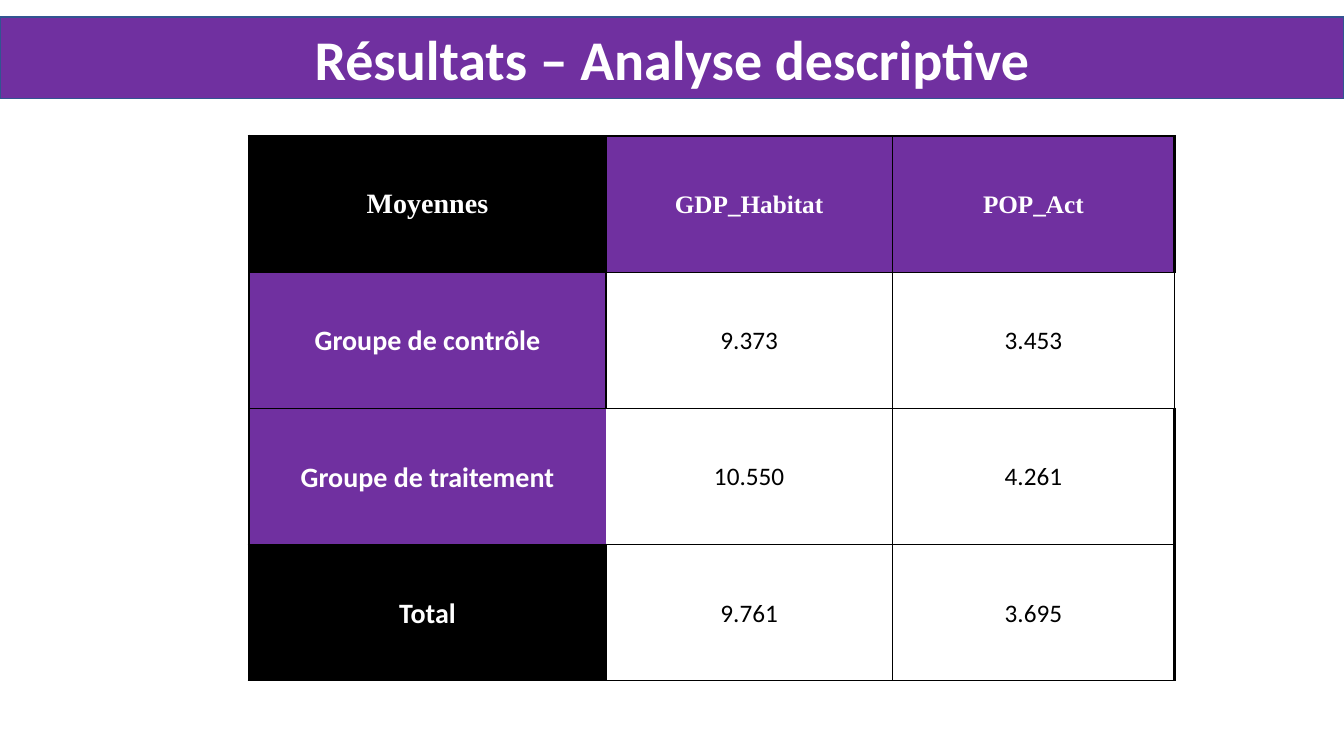
import lxml.etree
import pptx
import pptx.dml.color
import pptx.enum.text
import pptx.oxml.ns
import pptx.util
from pptx.util import Inches

COLORS = {"purple": "7030A0", "black": "000000", "white": "FFFFFF", "outline": "325491"}
MEANS = [
    ["Moyennes", "GDP_Habitat", "POP_Act"],
    ["Groupe de contrôle", "9.373", "3.453"],
    ["Groupe de traitement", "10.550", "4.261"],
    ["Total", "9.761", "3.695"],
]
COLUMN_WIDTHS = [3.54, 2.84, 2.8]
ROW_HEIGHT = 1.35
CONTROL_ROW, TREATMENT_ROW = 1, 2
THIN, THICK = 1, 2.25


def rgb(name):
    return pptx.dml.color.RGBColor.from_string(COLORS[name])


def write_text(frame, text, size, color, bold=False, font="Calibri", spacing=1.0):
    frame.word_wrap = True
    paragraph = frame.paragraphs[0]
    paragraph.alignment = pptx.enum.text.PP_ALIGN.CENTER
    paragraph.line_spacing = spacing
    run = paragraph.add_run()
    run.text = text
    run.font.size = pptx.util.Pt(size)
    run.font.name = font
    run.font.bold = bold
    run.font.color.rgb = rgb(color)


def add_title_band(slide, text):
    band = slide.shapes.title
    band.left, band.top = Inches(0), Inches(0.17)
    band.width, band.height = Inches(13.33), Inches(0.81)
    band.fill.solid()
    band.fill.fore_color.rgb = rgb("purple")
    band.line.color.rgb = rgb("outline")
    band.line.width = pptx.util.Pt(1)
    band.text_frame.vertical_anchor = pptx.enum.text.MSO_ANCHOR.MIDDLE
    write_text(band.text_frame, text, 40, "white", bold=True)


def border_widths(row, column):
    """Return the widths in points of the L, R, T and B borders; 0 means no line."""
    widths = {"L": THIN, "R": THIN, "T": THIN, "B": THIN}
    if row != CONTROL_ROW:
        if column == 0:
            widths["L"] = THICK
        if column == len(COLUMN_WIDTHS) - 1:
            widths["R"] = THICK
    if row == column == 0:
        widths["T"] = THICK
    if row == TREATMENT_ROW and column < 2:
        widths["R" if column == 0 else "L"] = 0
    return widths


def set_borders(cell, widths):
    """Draw the borders; call before the cell's fill is set."""
    qn = pptx.oxml.ns.qn
    properties = cell._tc.get_or_add_tcPr()
    for side, width in widths.items():
        line = lxml.etree.SubElement(properties, qn("a:ln" + side), w=str(int(pptx.util.Pt(width))))
        if width:
            fill = lxml.etree.SubElement(line, qn("a:solidFill"))
            lxml.etree.SubElement(fill, qn("a:srgbClr"), val=COLORS["black"])
        else:
            lxml.etree.SubElement(line, qn("a:noFill"))


def format_cell(cell, row, column, text):
    is_heading = row == 0 or column == 0
    is_corner = column == 0 and row in (0, len(MEANS) - 1)
    set_borders(cell, border_widths(row, column))
    if is_heading:
        cell.fill.solid()
        cell.fill.fore_color.rgb = rgb("black" if is_corner else "purple")
    else:
        cell.fill.background()
    cell.vertical_anchor = pptx.enum.text.MSO_ANCHOR.MIDDLE
    cell.margin_left = cell.margin_right = Inches(0.05)
    cell.margin_top = cell.margin_bottom = 0
    write_text(
        cell.text_frame,
        text,
        size=20 if column == 0 else 18,
        color="white" if is_heading else "black",
        bold=is_heading,
        font="Times New Roman" if row == 0 else "Calibri",
        spacing=1.0 if row == column == 0 else 1.07,
    )


def add_means_table(slide):
    table = slide.shapes.add_table(
        len(MEANS), len(COLUMN_WIDTHS), Inches(2.47), Inches(1.35),
        Inches(sum(COLUMN_WIDTHS)), Inches(ROW_HEIGHT * len(MEANS)),
    ).table
    table.first_row = table.horz_banding = False
    for column, width in enumerate(COLUMN_WIDTHS):
        table.columns[column].width = Inches(width)
    for row, texts in enumerate(MEANS):
        table.rows[row].height = Inches(ROW_HEIGHT)
        for column, text in enumerate(texts):
            format_cell(table.cell(row, column), row, column, text)


def main():
    presentation = pptx.Presentation()
    presentation.slide_width = Inches(13.33)
    presentation.slide_height = Inches(7.5)
    slide = presentation.slides.add_slide(presentation.slide_layouts.get_by_name("Title Only"))
    add_title_band(slide, "Résultats – Analyse descriptive")
    add_means_table(slide)
    presentation.save("out.pptx")


if __name__ == "__main__":
    main()
